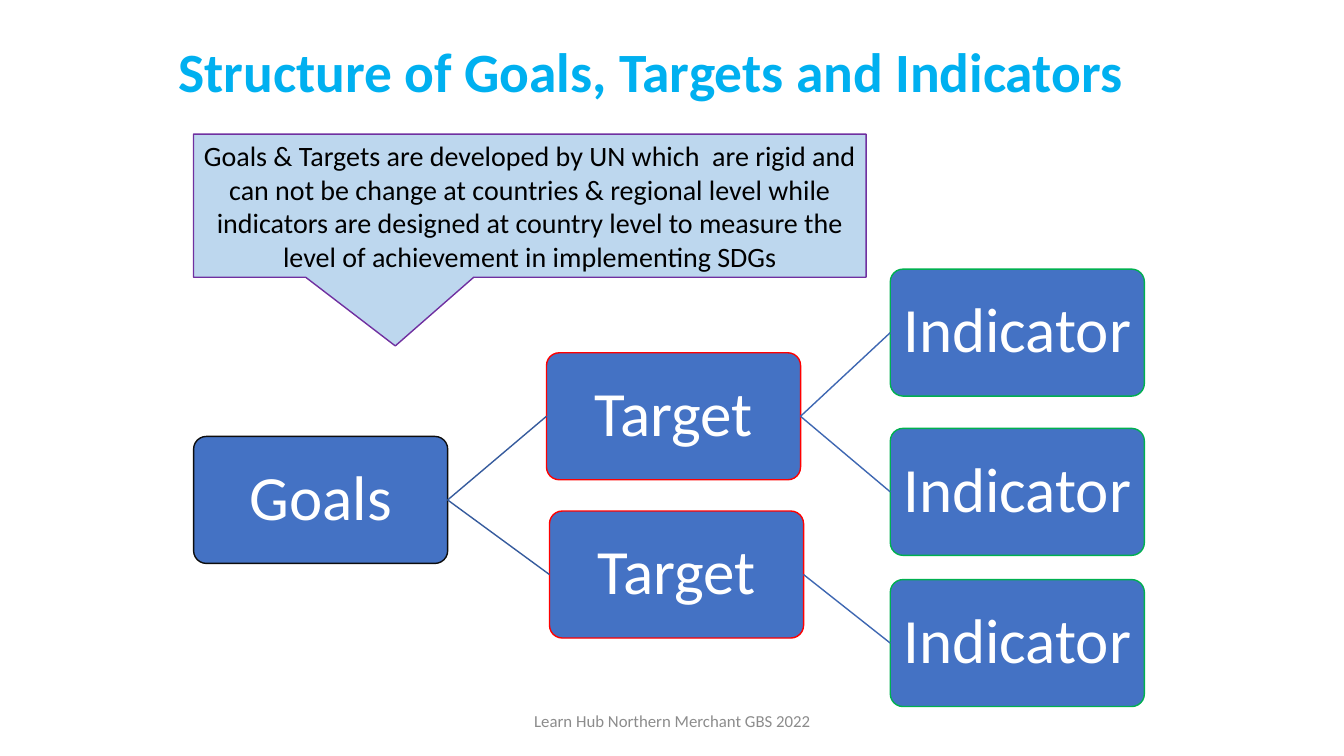
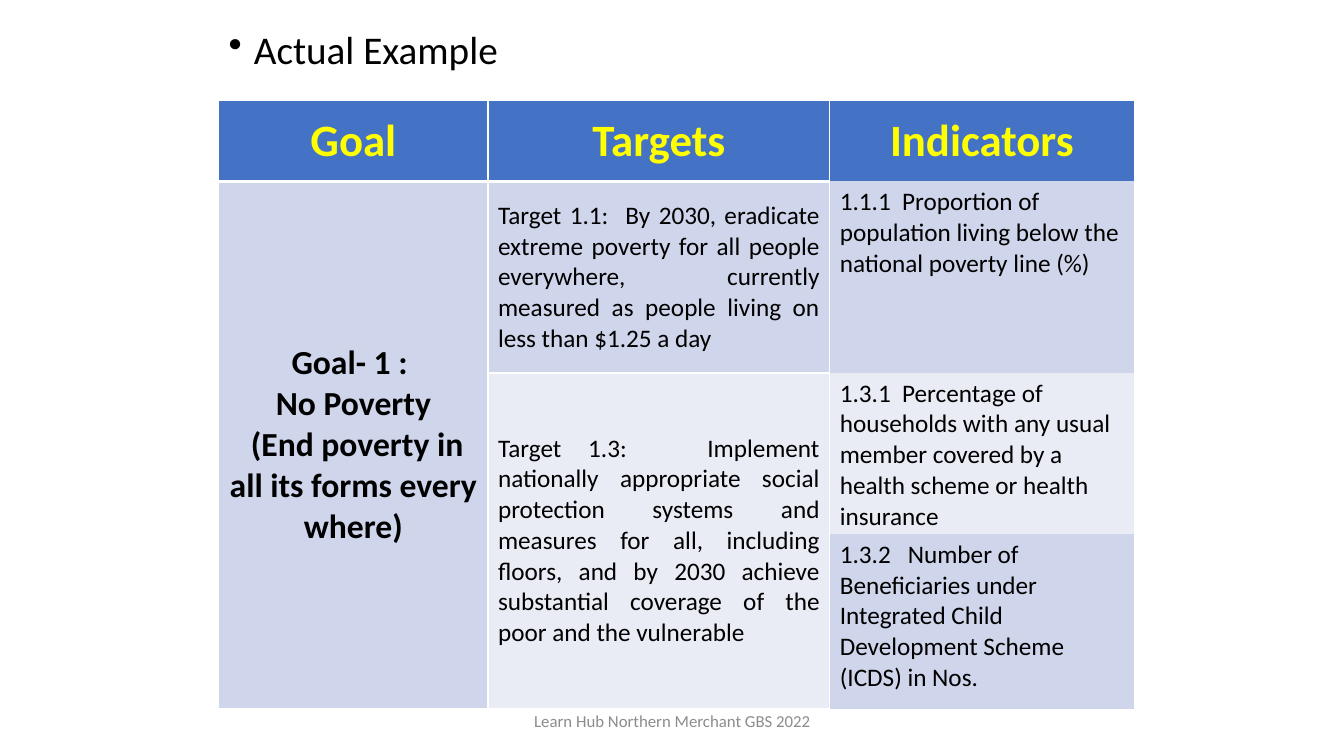
from lxml.etree import SubElement
from pptx import Presentation
from pptx.dml.color import RGBColor
from pptx.enum.shapes import MSO_CONNECTOR as Link, MSO_SHAPE as Geo
from pptx.enum.text import MSO_ANCHOR as Anchor, PP_ALIGN as Align
from pptx.oxml.ns import qn
from pptx.util import Inches, Pt

FONT = "Calibri"
BLACK, WHITE, BLUE, GRAY = "000000", "FFFFFF", "4472C4", "8C8C8C"
CYAN, YELLOW, RED, GREEN, PURPLE = "00B0F0", "FFFF00", "FF0000", "00B050", "7030A0"
PALE, BAND, LIGHT = "BDD7EE", "CFD5EA", "E9EBF5"
PLAIN = "{2D5ABB26-0587-4C30-8999-92F81FD0307C}"

FOOTER = "Learn Hub Northern Merchant GBS 2022"
TITLE = "Structure of Goals, Targets and Indicators"
NOTE = ("Goals & Targets are developed by UN which  are rigid and can not be change "
        "at countries & regional level while indicators are designed at country level "
        "to measure the level of achievement in implementing SDGs")
BOX = (2.52, 1.26)
NODES = [
    ("Goals", 1.92, 4.33, "0D0D0D"),
    ("Target", 5.42, 3.5, RED),
    ("Target", 5.45, 5.07, RED),
    ("Indicator", 8.83, 2.67, GREEN),
    ("Indicator", 8.83, 4.25, GREEN),
    ("Indicator", 8.83, 5.75, GREEN),
]
LINKS = [(0, 1, "365B9D"), (0, 2, "365B9D"),
         (1, 3, "3E67B2"), (1, 4, "3E67B2"), (2, 5, "3E67B2")]

HEADING = "Actual Example"
COLS = [2.67, 3.39, 3.02]
ROWS = [0.8, 1.9, 1.57, 1.73]
FILLS = [[BLUE] * 3, [BAND] * 3, [BAND, LIGHT, LIGHT], [BAND, LIGHT, BAND]]
MERGES = [((1, 0), (3, 0)), ((2, 1), (3, 1))]
CELLS = [
    ["Goal", "Targets", "Indicators"],
    ["Goal- 1 : \nNo Poverty\n (End poverty in all its forms every where)",
     "Target 1.1:  By 2030, eradicate extreme poverty for all people everywhere, "
     "currently measured as people living on less than $1.25 a day ",
     "1.1.1  Proportion of population living below the national poverty line (%)"],
    [None,
     "Target 1.3:   Implement nationally appropriate social protection systems and "
     "measures for all, including floors, and by 2030 achieve substantial coverage "
     "of the poor and the vulnerable ",
     "1.3.1  Percentage of households with any usual member covered by a health "
     "scheme or health insurance"],
    [None, None,
     "1.3.2   Number of Beneficiaries under Integrated Child Development Scheme "
     "(ICDS) in Nos."],
]
HEAD = (32, YELLOW, True, Align.CENTER, Anchor.MIDDLE)
BODY = [
    (24, BLACK, True, Align.CENTER, Anchor.MIDDLE),
    (18, BLACK, False, Align.JUSTIFY, Anchor.MIDDLE),
    (18, BLACK, False, Align.LEFT, Anchor.TOP),
]


def rgb(code):
    return RGBColor.from_string(code)


def write(frame, text, size, color, bold=False, align=Align.LEFT, anchor=Anchor.MIDDLE,
          space=None):
    frame.word_wrap = True
    frame.vertical_anchor = anchor
    frame.text = text
    for para in frame.paragraphs:
        para.alignment = align
        para.line_spacing = space
        font = para.font
        font.name, font.size, font.bold = FONT, Pt(size), bold
        font.color.rgb = rgb(color)


def label(slide, area, text, *style, **more):
    box = slide.shapes.add_textbox(*map(Inches, area))
    write(box.text_frame, text, *style, **more)
    return box.text_frame


def block(slide, geo, area, fill, line, adjust):
    shape = slide.shapes.add_shape(geo, *map(Inches, area))
    shape.shadow.inherit = False
    shape.fill.solid()
    shape.fill.fore_color.rgb = rgb(fill)
    shape.line.color.rgb = rgb(line)
    shape.line.width = Pt(1)
    for i, value in enumerate(adjust):
        shape.adjustments[i] = value
    return shape


def join(slide, start, end, color):
    line = slide.shapes.add_connector(Link.STRAIGHT, 0, 0, 0, 0)
    line.begin_connect(start, 3)
    line.end_connect(end, 1)
    line.line.color.rgb = rgb(color)
    line.line.width = Pt(1)
    SubElement(line._element.spPr, qn("a:effectLst"))


def edge(cell, side, width):
    line = SubElement(cell._tc.get_or_add_tcPr(), qn("a:ln" + side), w=str(Pt(width)))
    fill = SubElement(line, qn("a:solidFill"))
    SubElement(fill, qn("a:srgbClr"), val=WHITE)


def new_slide(deck):
    slide = deck.slides.add_slide(deck.slide_layouts[6])
    label(slide, (4.42, 6.95, 4.5, 0.4), FOOTER, 12, GRAY, align=Align.CENTER)
    return slide


def draw_tree(slide):
    label(slide, (1.67, 0.3, 10, 0.87), TITLE, 39.6, CYAN, True, space=0.9)
    nodes = []
    for name, left, top, line in NODES:
        node = block(slide, Geo.ROUNDED_RECTANGLE, (left, top, *BOX), BLUE, line, [0.1])
        frame = node.text_frame
        frame.margin_left = frame.margin_right = Inches(0.06)
        write(frame, name, 45, WHITE, align=Align.CENTER, space=0.9)
        nodes.append(node)
    for start, end, color in LINKS:
        join(slide, nodes[start], nodes[end], color)
    note = block(slide, Geo.RECTANGULAR_CALLOUT, (1.92, 1.33, 6.67, 1.42),
                 PALE, PURPLE, [-0.2, 0.98])
    write(note.text_frame, NOTE, 20, BLACK, align=Align.CENTER)


def draw_table(slide):
    frame = label(slide, (2.17, 0.25, 9, 0.6), HEADING, 28, BLACK,
                  anchor=Anchor.TOP, space=0.9)
    props = frame.paragraphs[0]._p.get_or_add_pPr()
    props.set("marL", str(Inches(0.25)))
    props.set("indent", str(-Inches(0.25)))
    bullet = props.makeelement(qn("a:buChar"), {"char": "•"})
    props.find(qn("a:defRPr")).addprevious(bullet)

    table = slide.shapes.add_table(len(ROWS), len(COLS), Inches(2.17), Inches(1),
                                   Inches(sum(COLS)), Inches(sum(ROWS))).table
    table._tbl.tblPr.find(qn("a:tableStyleId")).text = PLAIN
    for col, width in zip(table.columns, COLS):
        col.width = Inches(width)
    for row, height in zip(table.rows, ROWS):
        row.height = Inches(height)
    for first, last in MERGES:
        table.cell(*first).merge(table.cell(*last))
    for r, texts in enumerate(CELLS):
        for c, text in enumerate(texts):
            cell = table.cell(r, c)
            if c < 2:
                for side in "LRTB" if c == 0 else "LTB":
                    edge(cell, side, 3 if r == 0 and side == "B" else 1)
            cell.fill.solid()
            cell.fill.fore_color.rgb = rgb(FILLS[r][c])
            if text:
                size, color, bold, align, anchor = HEAD if r == 0 else BODY[c]
                cell.vertical_anchor = anchor
                write(cell.text_frame, text, size, color, bold, align, None)


def main():
    """Build the goals tree and the example table."""
    deck = Presentation()
    deck.slide_width, deck.slide_height = Inches(13.33), Inches(7.5)
    for draw in (draw_tree, draw_table):
        draw(new_slide(deck))
    deck.save("out.pptx")


if __name__ == "__main__":
    main()
